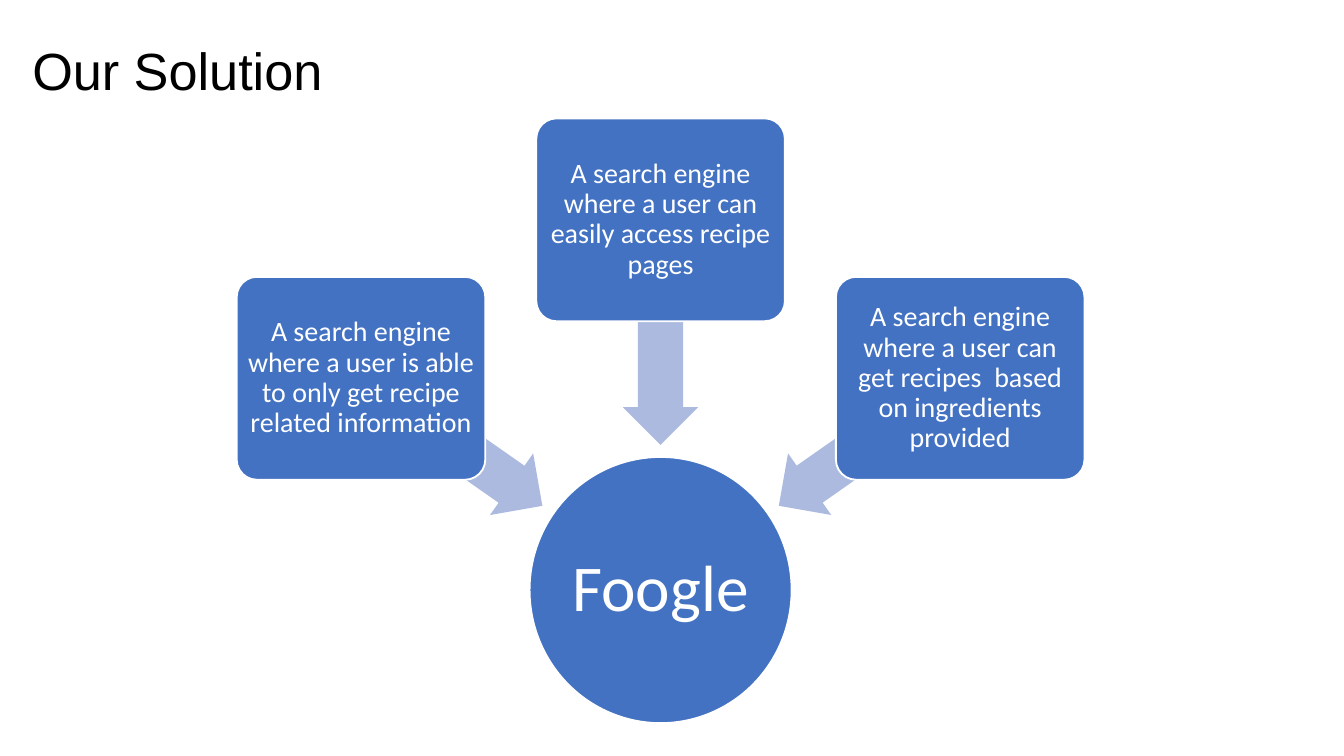
"""Builds the "Our Solution" slide: three ideas pointing at one product."""
from pptx import Presentation
from pptx.dml.color import RGBColor as RGB
from pptx.enum.shapes import MSO_SHAPE as Kind
from pptx.enum.text import MSO_ANCHOR as Anchor, MSO_AUTO_SIZE as Fit, PP_ALIGN as Align
from pptx.util import Pt

BLUE = RGB(0x43, 0x72, 0xC3)
PALE = RGB(0xAB, 0xBA, 0xDE)
WHITE = RGB(0xFF, 0xFF, 0xFF)
BLACK = RGB(0x00, 0x00, 0x00)

MID = 353.9
STEP = 160.5
BOX_W, BOX_H = 133.2, 108.7
HUB_W, HUB_H = 140.4, 142.6
ARROW_H = 40.3


def add_node(kind, left, top, wide, high, text, size, inset):
    node = slide.shapes.add_shape(kind, Pt(left), Pt(top), Pt(wide), Pt(high))
    node.shadow.inherit = False
    node.fill.solid()
    node.fill.fore_color.rgb = BLUE
    node.line.color.rgb = WHITE
    node.line.width = Pt(1)
    frame = node.text_frame
    frame.word_wrap = True
    frame.vertical_anchor = Anchor.MIDDLE
    frame.margin_left = frame.margin_right = Pt(inset)
    frame.margin_top = frame.margin_bottom = Pt(inset)
    para = frame.paragraphs[0]
    para.alignment = Align.CENTER
    para.line_spacing = 0.9
    add_run(para, text, "Calibri", size, WHITE)
    return node


def add_run(para, text, face, size, color):
    run = para.add_run()
    run.text = text
    run.font.name = face
    run.font.size = Pt(size)
    run.font.color.rgb = color


deck = Presentation()
deck.slide_width, deck.slide_height = Pt(720), Pt(405)
slide = deck.slides.add_slide(deck.slide_layouts[5])

title = slide.shapes.title
title.left, title.top, title.width, title.height = Pt(10.1), Pt(11.5), Pt(356.4), Pt(41)
frame = title.text_frame
frame.auto_size = Fit.NONE
frame.word_wrap = True
frame.vertical_anchor = Anchor.TOP
frame.margin_left = frame.margin_right = Pt(7.2)
frame.margin_top = frame.margin_bottom = Pt(9)
para = frame.paragraphs[0]
para.alignment = Align.LEFT
para.line_spacing = 1.0
add_run(para, "Our Solution", "Arial", 28, BLACK)

add_node(Kind.OVAL, MID - HUB_W / 2, 244.8, HUB_W, HUB_H, "Foogle", 35, 1.5)

ideas = [
    (-1, 148.3, 236.9, 118.8, 215,
     "A search engine where a user is able to only get recipe related information"),
    (0, 63.4, 177.8, 121, 270,
     "A search engine where a user can easily access recipe pages"),
    (1, 148.3, 236.9, 118.8, 325,
     "A search engine where a user can get recipes  based on ingredients provided"),
]
for side, top, level, length, angle, text in ideas:
    arrow = slide.shapes.add_shape(
        Kind.LEFT_ARROW, Pt(MID + side * 112 - length / 2), Pt(level - ARROW_H / 2),
        Pt(length), Pt(ARROW_H))
    arrow.adjustments[0] = 0.6
    arrow.adjustments[1] = 0.5
    arrow.rotation = angle
    arrow.shadow.inherit = False
    arrow.fill.solid()
    arrow.fill.fore_color.rgb = PALE
    arrow.line.fill.background()
    box = add_node(Kind.ROUNDED_RECTANGLE, MID + side * STEP - BOX_W / 2, top,
                   BOX_W, BOX_H, text, 15, 2.2)
    box.adjustments[0] = 0.1

deck.save("out.pptx")
